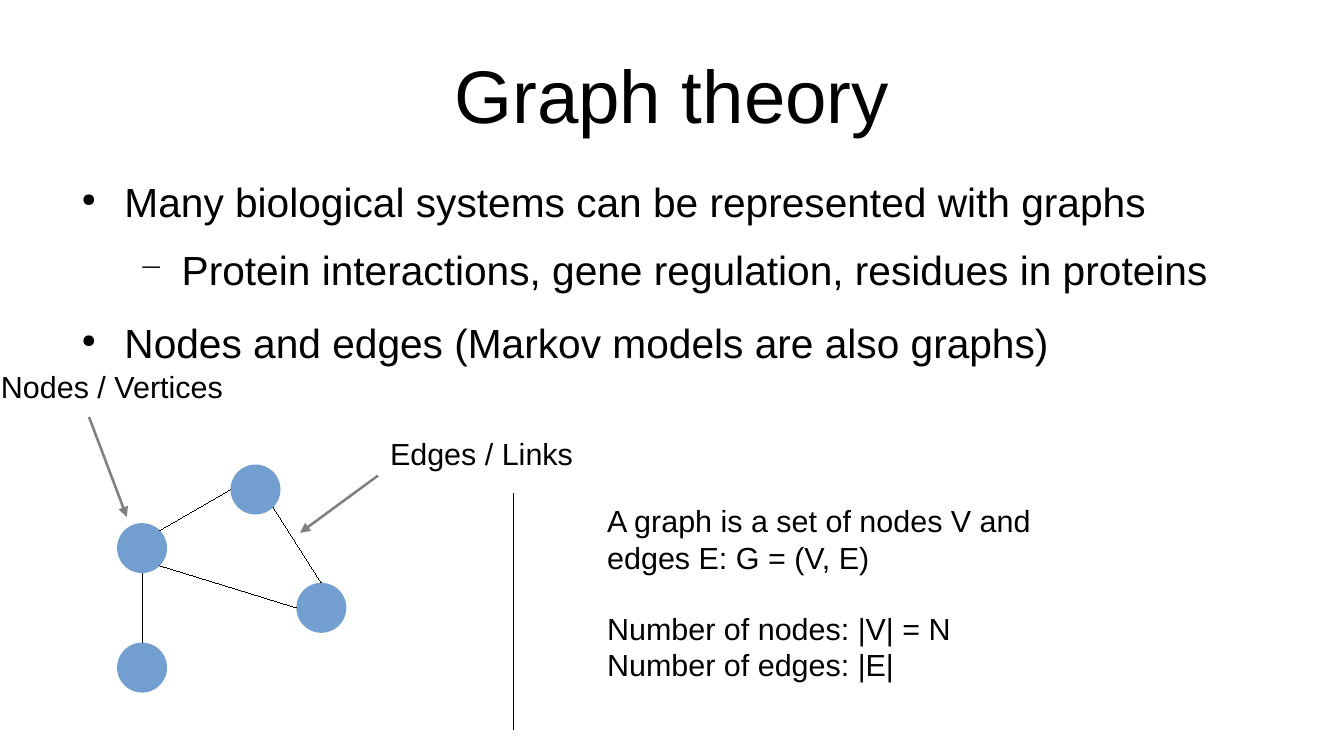
from dataclasses import dataclass
from math import cos, radians, sin

from lxml.etree import SubElement
from pptx import Presentation
from pptx.dml.color import RGBColor
from pptx.enum.shapes import MSO_CONNECTOR, MSO_SHAPE
from pptx.enum.text import MSO_ANCHOR, PP_ALIGN
from pptx.oxml.ns import qn
from pptx.util import Inches, Pt


@dataclass(frozen=True)
class Theme:
    font: str = "Arial"
    ink: str = "000000"
    node: str = "729FCF"
    arrow: str = "808080"
    title: int = 44
    body: int = 24
    label: int = 18


THEME = Theme()
NODE_SIZE = 0.41
NODES = {
    "hub": (1.165, 4.495),
    "leaf": (1.165, 5.475),
    "right": (2.635, 4.985),
    "top": (2.095, 4.015),
}
EDGES = [
    ("hub", -45, "top", 180),
    ("hub", 45, "right", 180),
    ("top", 45, "right", -90),
    ("hub", 90, "leaf", -90),
]
BULLETS = [
    (0, "Many biological systems can be represented with graphs"),
    (1, "Protein interactions, gene regulation, residues in proteins"),
    (0, "Nodes and edges (Markov models are also graphs)"),
]
BULLET_STYLES = [("●", 45, 14.2), ("−", 75, 11.3)]


def add_bullet(p, level, first):
    char, percent, gap = BULLET_STYLES[level]
    p.level = level
    p.space_before = Pt(0 if first else gap)
    pPr = p._p.get_or_add_pPr()
    pPr.set("marL", str(Inches(0.47 * (level + 1))))
    pPr.set("indent", str(Inches(-0.35)))
    color = SubElement(pPr, qn("a:buClr"))
    SubElement(color, qn("a:srgbClr"), val=THEME.ink)
    SubElement(pPr, qn("a:buSzPct"), val=str(percent * 1000))
    SubElement(pPr, qn("a:buChar"), char=char)


def add_text(s, lines, x, y, w, h, size=THEME.label, align=PP_ALIGN.LEFT,
             anchor=MSO_ANCHOR.TOP, inset=(0.1, 0.05), levels=None):
    sp = s.shapes.add_textbox(Inches(x), Inches(y), Inches(w), Inches(h))
    tf = sp.text_frame
    tf.word_wrap = True
    tf.vertical_anchor = anchor
    tf.margin_left = tf.margin_right = Inches(inset[0])
    tf.margin_top = tf.margin_bottom = Inches(inset[1])
    for i, line in enumerate(lines):
        p = tf.paragraphs[0] if i == 0 else tf.add_paragraph()
        p.alignment = align
        if levels:
            add_bullet(p, levels[i], first=i == 0)
        r = p.add_run()
        r.text = line
        r.font.name = THEME.font
        r.font.size = Pt(size)
        r.font.color.rgb = RGBColor.from_string(THEME.ink)


def add_line(shapes, start, end, color=THEME.ink, width=0, arrow=False):
    line = shapes.add_connector(
        MSO_CONNECTOR.STRAIGHT, *(Inches(v) for v in (*start, *end)))
    line.line.color.rgb = RGBColor.from_string(color)
    ln = line.line._get_or_add_ln()
    ln.set("w", str(Pt(width)))
    if arrow:
        SubElement(ln, qn("a:tailEnd"), type="triangle")
    SubElement(line._element.spPr, qn("a:effectLst"))


def add_node(shapes, center):
    x, y = (Inches(v - NODE_SIZE / 2) for v in center)
    sp = shapes.add_shape(
        MSO_SHAPE.OVAL, x, y, Inches(NODE_SIZE), Inches(NODE_SIZE))
    sp.shadow.inherit = False
    sp.fill.solid()
    sp.fill.fore_color.rgb = RGBColor.from_string(THEME.node)
    sp.line.fill.background()


def rim_point(name, degrees):
    x, y = NODES[name]
    angle = radians(degrees)
    return x + NODE_SIZE / 2 * cos(angle), y + NODE_SIZE / 2 * sin(angle)


def add_graph(s):
    shapes = s.shapes.add_group_shape().shapes
    for center in NODES.values():
        add_node(shapes, center)
    for a, a_angle, b, b_angle in EDGES:
        add_line(shapes, rim_point(a, a_angle), rim_point(b, b_angle))


def main():
    prs = Presentation()
    prs.slide_width, prs.slide_height = Inches(11.02), Inches(6.2)
    s = prs.slides.add_slide(prs.slide_layouts[6])

    add_text(s, ["Graph theory"], 0.55, 0.25, 9.92, 1.04, size=THEME.title,
             align=PP_ALIGN.CENTER, anchor=MSO_ANCHOR.MIDDLE, inset=(0, 0))
    levels, lines = zip(*BULLETS)
    add_text(s, lines, 0.55, 1.45, 9.92, 3.6, size=THEME.body,
             inset=(0, 0), levels=levels)

    add_graph(s)
    for start, end in [((0.73, 3.42), (1.04, 4.24)), ((3.1, 3.9), (2.46, 4.37))]:
        add_line(s.shapes, start, end, color=THEME.arrow, width=1.5, arrow=True)
    add_text(s, ["Nodes / Vertices"], -0.09, 2.97, 2.57, 0.38)
    add_text(s, ["Edges / Links"], 3.1, 3.52, 2.57, 0.38)

    add_line(s.shapes, (4.21, 4.05), (4.21, 5.98))
    add_text(s, ["Number of nodes: |V| = N", "Number of edges: |E|"],
             4.88, 4.95, 3.22, 0.66)
    add_text(s, ["A graph is a set of nodes V and edges E: G = (V, E)"],
             4.88, 4.07, 4.32, 0.66)
    prs.save("out.pptx")


if __name__ == "__main__":
    main()
